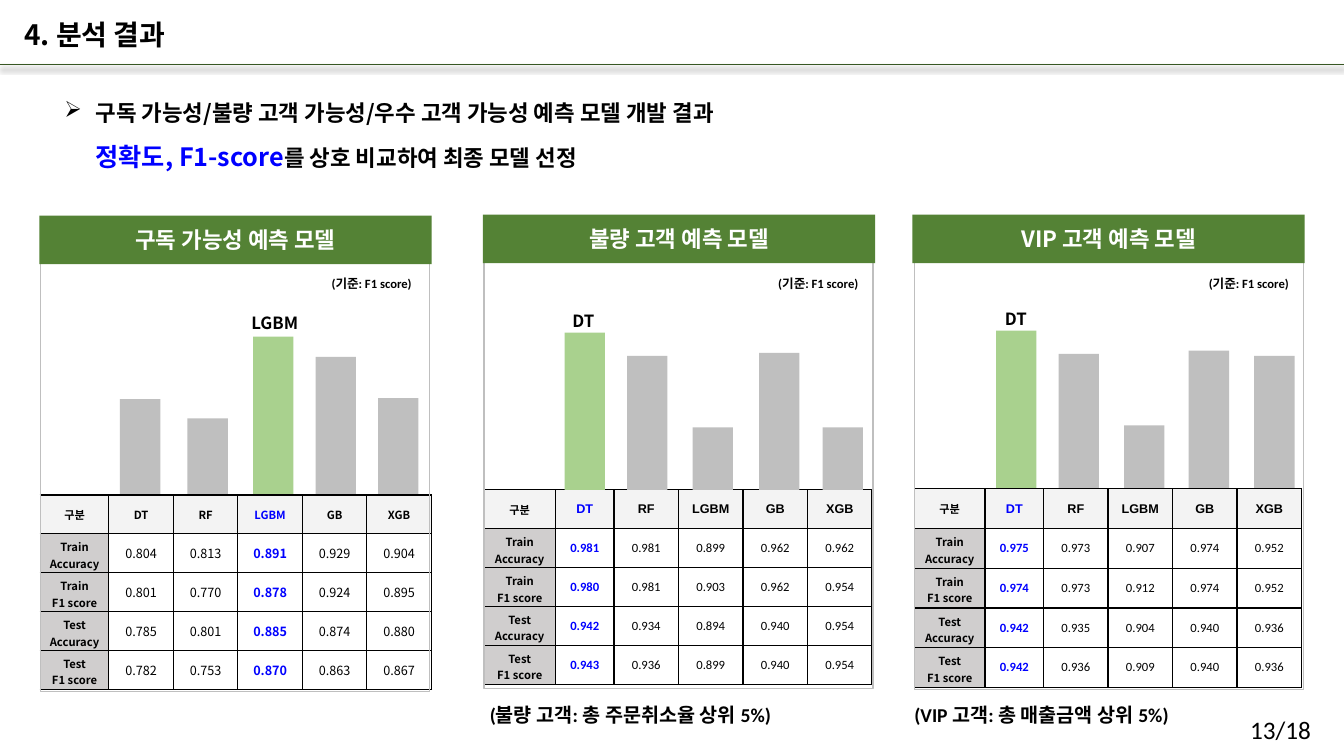
import lxml.etree
import pptx
import pptx.dml.color
import pptx.enum.shapes
import pptx.enum.text
import pptx.oxml
import pptx.oxml.ns
import pptx.util

EMU_PER_PX = 9144  # 100 px to the inch
KOREAN = "Noto Sans CJK KR"
BLACK, WHITE, BLUE = "000000", "FFFFFF", "0000FF"
GRAY, GREEN, BEST_GREEN, LABEL_GRAY = "BFBFBF", "548235", "A9D18E", "D0CECE"
LEFT = pptx.enum.text.PP_ALIGN.LEFT
CENTER = pptx.enum.text.PP_ALIGN.CENTER
MIDDLE = pptx.enum.text.MSO_ANCHOR.MIDDLE

MODELS = ["DT", "RF", "LGBM", "GB", "XGB"]
MEASURES = ["Train\nAccuracy", "Train\nF1 score", "Test\nAccuracy", "Test\nF1 score"]

PANELS = [
    dict(title="구독 가능성 예측 모델", left=40, header=(39, 214), frame_top=250,
         table_top=491, table_height=193, columns=[68, 64, 64, 64, 64, 64],
         header_font=KOREAN, header_size=8, value_font=KOREAN, best=2,
         bar_lefts=[119, 186, 251, 313, 375], bar_heights=[94, 75, 156, 136, 95],
         baseline=490, best_label=(238, 295), criterion_left=319,
         scores=[["0.804", "0.813", "0.891", "0.929", "0.904"],
                 ["0.801", "0.770", "0.878", "0.924", "0.895"],
                 ["0.785", "0.801", "0.885", "0.874", "0.880"],
                 ["0.782", "0.753", "0.870", "0.863", "0.867"]]),
    dict(title="불량 고객 예측 모델", left=480, header=(479, 213), frame_top=247,
         table_top=486, table_height=193, columns=[71, 58, 64, 64, 64, 64],
         header_font="Arial", header_size=9, value_font="Calibri", best=0,
         bar_lefts=[560, 622, 687, 753, 816], bar_heights=[156, 133, 62, 136, 62],
         baseline=486, best_label=(544, 293), criterion_left=762,
         scores=[["0.981", "0.981", "0.899", "0.962", "0.962"],
                 ["0.980", "0.981", "0.903", "0.962", "0.954"],
                 ["0.942", "0.934", "0.894", "0.940", "0.954"],
                 ["0.943", "0.936", "0.899", "0.940", "0.954"]]),
    dict(title="VIP 고객 예측 모델", left=907, header=(905, 213), frame_top=248,
         table_top=485, table_height=197, columns=[70, 58, 64, 64, 64, 64],
         header_font="Arial", header_size=9, value_font="Calibri", best=0,
         bar_lefts=[988, 1050, 1115, 1179, 1244], bar_heights=[156, 133, 62, 136, 131],
         baseline=484, best_label=(973, 291), criterion_left=1189,
         scores=[["0.975", "0.973", "0.907", "0.974", "0.952"],
                 ["0.974", "0.973", "0.912", "0.974", "0.952"],
                 ["0.942", "0.935", "0.904", "0.940", "0.936"],
                 ["0.942", "0.936", "0.909", "0.940", "0.936"]]),
]


def px(length):
    return pptx.util.Emu(length * EMU_PER_PX)


def rgb(color):
    return pptx.dml.color.RGBColor.from_string(color)


def add_element(parent, tag, **attributes):
    return lxml.etree.SubElement(parent, pptx.oxml.ns.qn(tag), attributes)


def write(paragraph, text, size=9, color=BLACK, bold=True, font=KOREAN,
          align=LEFT, spacing=None):
    paragraph.alignment = align
    if spacing:
        paragraph.line_spacing = spacing
    run = paragraph.add_run()
    run.text = text
    run.font.size = pptx.util.Pt(size)
    run.font.bold = bold
    run.font.color.rgb = rgb(color)
    run.font.name = font
    add_element(run.font._element, "a:ea", typeface=KOREAN)


def add_text_box(slide, left, top, width, height):
    text_frame = slide.shapes.add_textbox(px(left), px(top), px(width), px(height)).text_frame
    text_frame.word_wrap = True
    text_frame.auto_size = pptx.enum.text.MSO_AUTO_SIZE.SHAPE_TO_FIT_TEXT
    return text_frame


def add_label(slide, left, top, width, height, text, **style):
    text_frame = add_text_box(slide, left, top, width, height)
    write(text_frame.paragraphs[0], text, **style)


def add_rectangle(slide, left, top, width, height, fill=None, line=None):
    shape = slide.shapes.add_shape(pptx.enum.shapes.MSO_SHAPE.RECTANGLE,
                                   px(left), px(top), px(width), px(height))
    shape.shadow.inherit = False
    if fill:
        shape.fill.solid()
        shape.fill.fore_color.rgb = rgb(fill)
    else:
        shape.fill.background()
    if line:
        shape.line.color.rgb = rgb(line)
        shape.line.width = pptx.util.Pt(1)
    else:
        shape.line.fill.background()
    return shape


def add_title_rule(slide):
    rule = slide.shapes.add_connector(pptx.enum.shapes.MSO_CONNECTOR.STRAIGHT,
                                      px(0), px(64), px(1333), px(64))
    rule.line.color.rgb = rgb("385723")
    rule.line.width = pptx.util.Pt(1)
    effects = add_element(rule._element.spPr, "a:effectLst")
    shadow = add_element(effects, "a:outerShdw", blurRad=str(pptx.util.Pt(4)),
                         dist=str(pptx.util.Pt(3)), dir="5400000", rotWithShape="0")
    add_element(add_element(shadow, "a:srgbClr", val=BLACK), "a:alpha", val="40000")


def fill_cell(cell, text, fill=None, alpha=None, **style):
    cell.vertical_anchor = MIDDLE
    cell.margin_left = cell.margin_right = px(9)
    cell.margin_top = cell.margin_bottom = px(5)
    for index, line in enumerate(text.split("\n")):
        paragraph = cell.text_frame.add_paragraph() if index else cell.text_frame.paragraphs[0]
        write(paragraph, line, align=CENTER, **style)
    # Borders come before the fill in the cell properties
    properties = cell._tc.get_or_add_tcPr()
    for side in ("a:lnL", "a:lnR", "a:lnT", "a:lnB"):
        border = add_element(properties, side, w=str(pptx.util.Pt(1)))
        add_element(add_element(border, "a:solidFill"), "a:srgbClr", val=BLACK)
    if fill:
        cell.fill.solid()
        cell.fill.fore_color.rgb = rgb(fill)
        if alpha:
            color = properties.find(pptx.oxml.ns.qn("a:solidFill"))[0]
            add_element(color, "a:alpha", val=str(alpha * 1000))
    else:
        cell.fill.background()


def add_score_table(slide, panel):
    columns, best = panel["columns"], panel["best"]
    table = slide.shapes.add_table(5, 6, px(panel["left"]), px(panel["table_top"]),
                                   px(sum(columns)), px(panel["table_height"])).table
    table.first_row = table.horz_banding = False
    for column, width in zip(table.columns, columns):
        column.width = px(width)
    for row in table.rows:
        row.height = px(panel["table_height"]) // 5

    fill_cell(table.cell(0, 0), "구분", fill=LABEL_GRAY, alpha=24, size=8)
    for index, model in enumerate(MODELS):
        color = BLUE if index == best else BLACK
        fill_cell(table.cell(0, index + 1), model, fill=LABEL_GRAY, alpha=24, color=color,
                  size=panel["header_size"], font=panel["header_font"])
        for row, scores in enumerate(panel["scores"], 1):
            fill_cell(table.cell(row, index + 1), scores[index], color=color,
                      bold=index == best, font=panel["value_font"])
    for row, measure in enumerate(MEASURES, 1):
        fill_cell(table.cell(row, 0), measure, fill=LABEL_GRAY, size=8)


def add_panel(slide, panel):
    add_score_table(slide, panel)
    for index, (left, height) in enumerate(zip(panel["bar_lefts"], panel["bar_heights"])):
        add_rectangle(slide, left, panel["baseline"] - height, 40, height,
                      fill=BEST_GREEN if index == panel["best"] else GRAY)
    add_label(slide, *panel["best_label"], 69, 37, MODELS[panel["best"]],
              size=12, align=CENTER, spacing=1.5)
    add_rectangle(slide, panel["left"], panel["frame_top"], 386, 436, line=GRAY)
    header = add_rectangle(slide, *panel["header"], 389, 48, fill=GREEN)
    header.text_frame.vertical_anchor = MIDDLE
    write(header.text_frame.paragraphs[0], panel["title"], size=16, color=WHITE, align=CENTER)
    add_label(slide, panel["criterion_left"], 269, 109, 25, "(기준: F1 score)", font="Calibri")


def add_summary(slide):
    text_frame = add_text_box(slide, 54, 80, 1157, 90)
    topic, criterion = text_frame.paragraphs[0], text_frame.add_paragraph()
    for paragraph, indent in ((topic, -31), (criterion, 0)):
        properties = paragraph._p.get_or_add_pPr()
        properties.set("marL", str(px(31)))
        properties.set("indent", str(px(indent)))
    add_element(topic._p.get_or_add_pPr(), "a:buChar", char="➢")
    write(topic, "구독 가능성/불량 고객 가능성/우수 고객 가능성 예측 모델 개발 결과",
          size=16, spacing=1.5)
    write(criterion, "정확도, F1-score", size=18, color=BLUE, spacing=1.5)
    write(criterion, "를 상호 비교하여 최종 모델 선정", size=16, spacing=1.5)


def main():
    presentation = pptx.Presentation()
    presentation.slide_width, presentation.slide_height = px(1333), px(750)
    slide = presentation.slides.add_slide(presentation.slide_layouts[6])

    # Title and summary
    add_title_rule(slide)
    add_label(slide, 14, 12, 353, 44, "4. 분석 결과", size=20)
    add_summary(slide)

    # One panel per prediction model
    for panel in PANELS:
        add_panel(slide, panel)

    # Customer definitions and page number
    add_label(slide, 476, 692, 310, 34, "(불량 고객: 총 주문취소율 상위 5%)",
              size=14, font="Calibri")
    add_label(slide, 897, 692, 296, 34, "(VIP 고객: 총 매출금액 상위 5%)",
              size=14, font="Calibri")
    add_label(slide, 1230, 704, 94, 40, "13/18", size=18, bold=False, font="Calibri")
    presentation.save("out.pptx")


if __name__ == "__main__":
    main()
